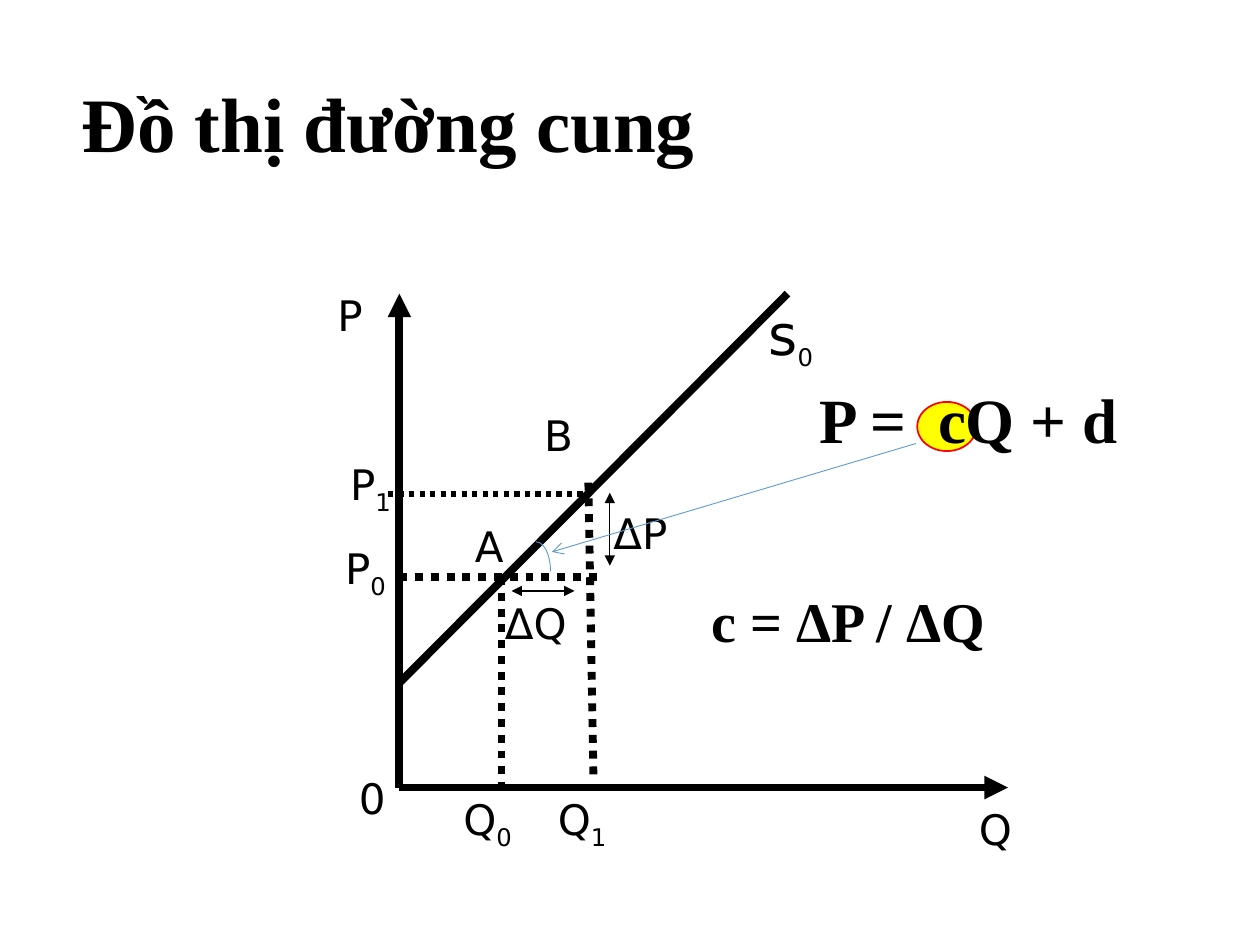
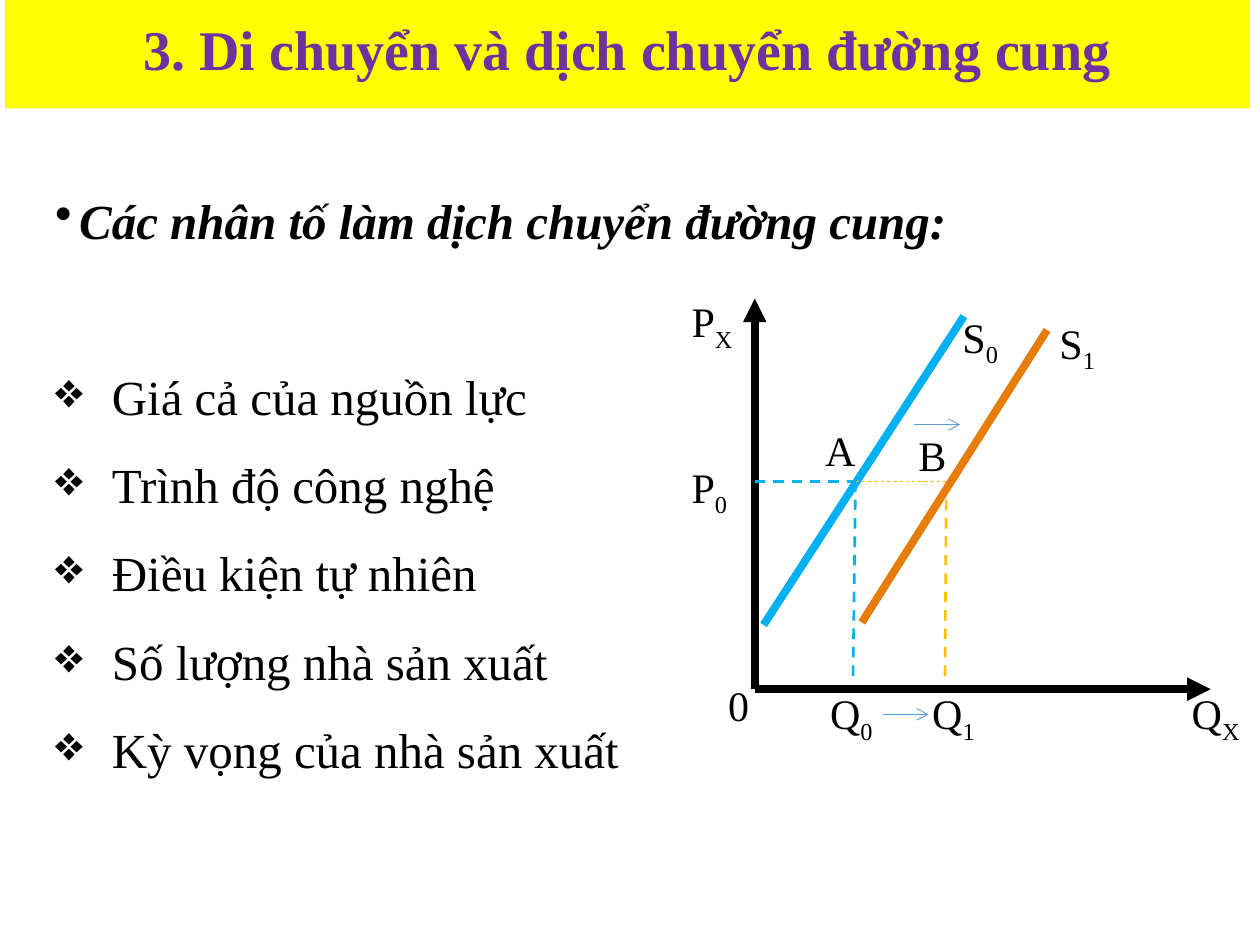
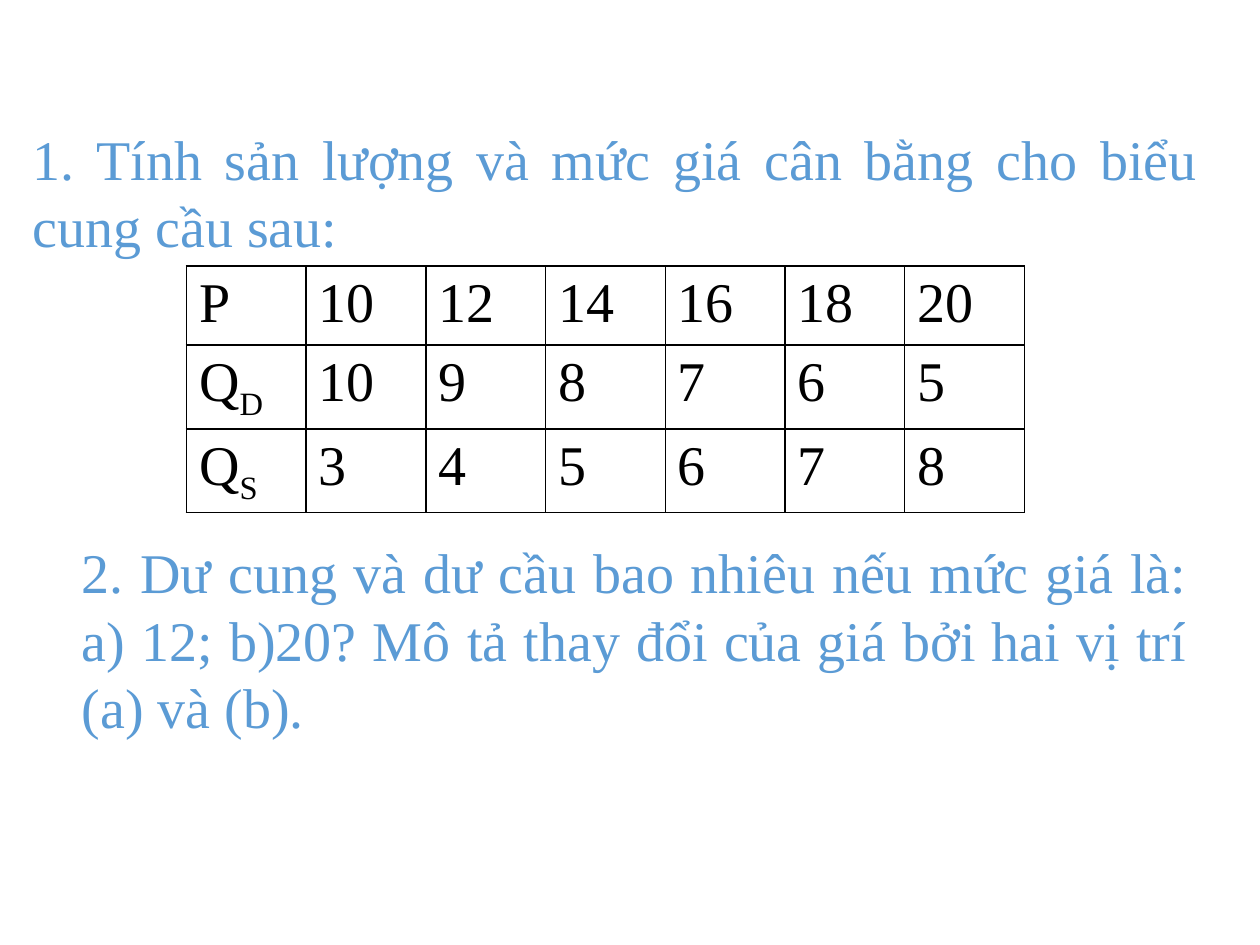
import pptx
import pptx.util
import pptx.dml.color
import pptx.enum.dml
import pptx.enum.shapes
import pptx.enum.text
import pptx.oxml
import pptx.oxml.ns
from lxml import etree

Inches = pptx.util.Inches
Pt = pptx.util.Pt
ALIGN = pptx.enum.text.PP_ALIGN
ANCHOR = pptx.enum.text.MSO_ANCHOR
DASH = pptx.enum.dml.MSO_LINE
SHAPE = pptx.enum.shapes.MSO_SHAPE

SERIF, SANS = "Times New Roman", "DejaVu Sans"
BLACK, YELLOW, RED, PURPLE = "000000", "FFFF00", "FF0000", "7030A0"
BLUE, CYAN, GOLD, ORANGE = "5B9BD5", "00B0F0", "FFC000", "E67D0A"

AXIS = dict(width=4.5, tail="triangle")
DOTTED = dict(width=4.5, dash=DASH.ROUND_DOT)
SPAN_ARROW = dict(width=0.75, head="triangle", tail="triangle")
POINTER = dict(color=BLUE, width=0.5, tail="arrow")
CYAN_GUIDE = dict(color=CYAN, width=1.5, dash=DASH.DASH)

SLOPE_LINES = [
    (3.17, 6.25, 3.17, 2.33, AXIS),
    (3.17, 6.25, 8, 6.25, AXIS),
    (3.17, 4.58, 4.75, 4.58, DOTTED),
    (3.98, 4.58, 3.98, 6.25, DOTTED),
    (3.08, 3.92, 4.67, 3.92, dict(DOTTED, width=3)),
    (4.67, 3.83, 4.71, 6.17, DOTTED),
    (3.17, 5.42, 6.25, 2.33, dict(width=4.5)),
    (4.84, 3.91, 4.84, 4.49, SPAN_ARROW),
    (4.06, 4.69, 4.56, 4.69, SPAN_ARROW),
]
SLOPE_LABELS = [
    ("A", 3.67, 4.08, 0.58), ("B", 4.22, 3.2, 0.58), ("Q", 7.67, 6.33, 0.58),
    ("P", 2.58, 2.25, 0.58), ("P_0", 2.64, 4.26, 0.58), ("P_1", 2.68, 3.59, 0.58),
    ("0", 2.75, 6.08, 0.58), ("Q_0", 3.58, 6.25, 0.74), ("Q_1", 4.33, 6.25, 0.74),
    ("ΔP", 4.77, 3.98, 0.83), ("ΔQ", 3.91, 4.69, 0.83),
]

SHIFT_LINES = [
    (5.99, 5.47, 5.99, 2.37, AXIS),
    (5.99, 5.47, 9.61, 5.47, AXIS),
    (7.65, 2.51, 6.06, 4.96, dict(color=CYAN, width=4.5)),
    (5.99, 3.82, 6.77, 3.82, CYAN_GUIDE),
    (6.79, 3.82, 6.77, 5.41, CYAN_GUIDE),
    (7.51, 3.82, 7.5, 5.41, dict(CYAN_GUIDE, color=GOLD)),
    (6.79, 3.82, 7.5, 3.82, dict(CYAN_GUIDE, color=GOLD, width=0.5)),
    (8.31, 2.62, 6.84, 4.94, dict(color=ORANGE, width=4.5)),
    (7.01, 5.67, 7.37, 5.67, POINTER),
    (7.25, 3.37, 7.62, 3.37, POINTER),
]
SHIFT_LABELS = [
    ("A", 6.45, 3.32, 0.44), ("B", 7.19, 3.36, 0.44), ("Q_X", 9.36, 5.41, 0.68),
    ("P_X", 5.39, 2.3, 0.59), ("P_0", 5.39, 3.61, 0.63), ("0", 5.68, 5.34, 0.44),
    ("Q_0", 6.49, 5.41, 0.71), ("Q_1", 7.3, 5.41, 0.62), ("S_0", 7.54, 2.42, 0.67),
    ("S_1", 8.31, 2.47, 0.63),
]
FACTOR_HEADING = "Các nhân tố làm dịch chuyển đường cung:"
FACTORS = [
    "Giá cả của nguồn lực",
    "Trình độ công nghệ",
    "Điều kiện tự nhiên",
    "Số lượng nhà sản xuất",
    "Kỳ vọng của nhà sản xuất",
]

SCHEDULE = [
    ["P", 10, 12, 14, 16, 18, 20],
    ["Q_D", 10, 9, 8, 7, 6, 5],
    ["Q_S", 3, 4, 5, 6, 7, 8],
]
QUESTIONS = [
    ("1. Tính sản lượng và mức giá cân bằng cho biểu cung cầu sau:", 0.16, 0.94, 9.45, 1.18),
    ("2. Dư cung và dư cầu bao nhiêu nếu mức giá là: a) 12; b)20? "
     "Mô tả thay đổi của giá bởi hai vị trí (a) và (b).", 0.55, 4.22, 8.98, 1.72),
]


def rgb(value):
    return pptx.dml.color.RGBColor.from_string(value)


def add_element(parent, tag, **attributes):
    return etree.SubElement(parent, pptx.oxml.ns.qn(tag), **attributes)


def set_bullet(para, mark, indent):
    properties = para._p.get_or_add_pPr()
    properties.set("marL", str(Inches(indent)))
    properties.set("indent", str(-Inches(0.19 if mark == "•" else indent)))
    add_element(properties, "a:buChar", char=mark)


def write(para, text, size=24, font=SERIF, color=BLACK, bold=False, italic=False,
          align=None, spacing=None, before=None, bullet=None, indent=0, sub_size=None):
    if bullet:
        set_bullet(para, bullet, indent)
    if align is not None:
        para.alignment = align
    if spacing:
        para.line_spacing = spacing
    if before:
        para.space_before = Pt(before)
    for position, part in enumerate(str(text).split("_")):
        span = para.add_run()
        span.text = part
        span.font.size = Pt(sub_size if position and sub_size else size)
        span.font.name = font
        span.font.color.rgb = rgb(color)
        span.font.bold = bold
        span.font.italic = italic
        if position:
            span.font._element.set("baseline", "-25000")


def add_text(page, text, left, top, width, height=0.5, anchor=ANCHOR.TOP, fill=None, **style):
    box = page.shapes.add_textbox(Inches(left), Inches(top), Inches(width), Inches(height))
    if fill:
        box.fill.solid()
        box.fill.fore_color.rgb = rgb(fill)
    frame = box.text_frame
    frame.word_wrap = True
    frame.vertical_anchor = anchor
    write(frame.paragraphs[0], text, **style)
    return frame


def add_line(page, x1, y1, x2, y2, color=BLACK, width=1, dash=None, head=None, tail=None):
    line = page.shapes.add_connector(pptx.enum.shapes.MSO_CONNECTOR.STRAIGHT,
                                     Inches(x1), Inches(y1), Inches(x2), Inches(y2))
    line.line.color.rgb = rgb(color)
    line.line.width = Pt(width)
    if dash:
        line.line.dash_style = dash
    outline = line.line._get_or_add_ln()
    for tag, kind in (("a:headEnd", head), ("a:tailEnd", tail)):
        if kind:
            add_element(outline, tag, type=kind)
    add_element(line._element.spPr, "a:effectLst")


def add_outline(page, kind, left, top, width, height, color, weight, fill=None):
    shape = page.shapes.add_shape(kind, Inches(left), Inches(top), Inches(width), Inches(height))
    shape.shadow.inherit = False
    if fill:
        shape.fill.solid()
        shape.fill.fore_color.rgb = rgb(fill)
    else:
        shape.fill.background()
    shape.line.color.rgb = rgb(color)
    shape.line.width = Pt(weight)


def add_graph(page, lines, labels, font):
    for *ends, style in lines:
        add_line(page, *ends, **style)
    for text, left, top, width in labels:
        add_text(page, text, left, top, width, font=font)


def add_title(page, text, left, top, width, height, **style):
    add_text(page, text, left, top, width, height, anchor=ANCHOR.MIDDLE,
             bold=True, spacing=0.9, **style)


def add_schedule(page, rows, left, top, column_width, row_height):
    columns = len(rows[0])
    frame = page.shapes.add_table(len(rows), columns, Inches(left), Inches(top),
                                  Inches(column_width * columns), Inches(row_height * len(rows)))
    table = frame.table
    table.first_row = table.horz_banding = False
    for column in table.columns:
        column.width = Inches(column_width)
    for row_index, row in enumerate(rows):
        table.rows[row_index].height = Inches(row_height)
        for column_index, value in enumerate(row):
            cell = table.cell(row_index, column_index)
            write(cell.text_frame.paragraphs[0], value, size=32)
            properties = cell._tc.get_or_add_tcPr()
            for side in ("a:lnL", "a:lnR", "a:lnT", "a:lnB"):
                border = add_element(properties, side, w=str(Pt(1)))
                add_element(add_element(border, "a:solidFill"), "a:srgbClr", val=BLACK)
            cell.fill.background()


def build_slope_page(page):
    add_title(page, "Đồ thị đường cung", 0.55, 0.39, 9, 1.25, size=44)
    add_graph(page, SLOPE_LINES, SLOPE_LABELS, SANS)
    add_text(page, "s_0", 6, 2.33, 0.58, 0.63, font=SANS, size=32, sub_size=24)
    add_outline(page, SHAPE.OVAL, 7.28, 3.19, 0.47, 0.39, RED, 1, fill=YELLOW)
    add_text(page, "P =  cQ + d", 6.41, 2.97, 3.16, 0.71, size=36, bold=True)
    add_text(page, "c = ΔP / ΔQ", 5.55, 4.61, 3.12, 0.64, size=32, bold=True)
    add_outline(page, SHAPE.ARC, 4.14, 4.3, 0.23, 0.47, BLUE, 0.5)
    add_line(page, 7.27, 3.52, 4.38, 4.38, **POINTER)


def build_shift_page(page):
    add_title(page, "3. Di chuyển và dịch chuyển đường cung", 0.04, -0.03, 9.88, 0.89,
              size=32, color=PURPLE, align=ALIGN.CENTER, fill=YELLOW)
    body = dict(size=28, align=ALIGN.JUSTIFY, spacing=1.5)
    frame = add_text(page, FACTOR_HEADING, 0.34, 1.23, 9, 0.79, bold=True, italic=True,
                     bullet="•", indent=0.19, **body)
    for position, factor in enumerate(FACTORS):
        write(frame.add_paragraph(), factor, bullet="❖", indent=0.45,
              before=None if position else 50, **body)
    add_graph(page, SHIFT_LINES, SHIFT_LABELS, SERIF)


def build_exercise_page(page):
    add_schedule(page, SCHEDULE, 1.48, 2.11, 0.95, 0.63)
    for text, *place in QUESTIONS:
        add_text(page, text, *place, size=32, color=BLUE, align=ALIGN.JUSTIFY)


def main():
    deck = pptx.Presentation()
    deck.slide_width, deck.slide_height = Inches(10), Inches(7.5)
    for build in (build_slope_page, build_shift_page, build_exercise_page):
        build(deck.slides.add_slide(deck.slide_layouts[6]))
    deck.save("out.pptx")


if __name__ == "__main__":
    main()
